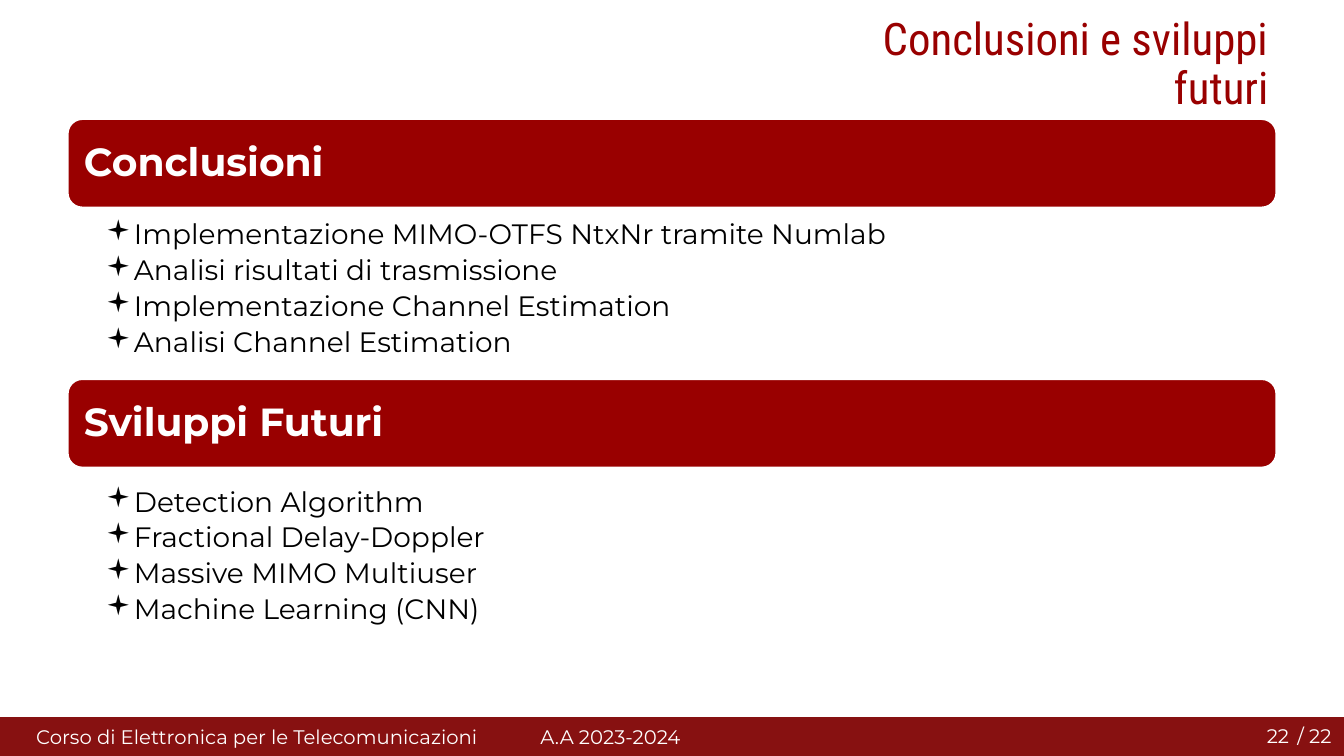
from lxml import etree
from pptx import Presentation
from pptx.dml.color import RGBColor
from pptx.enum.shapes import MSO_SHAPE
from pptx.enum.text import MSO_ANCHOR, PP_ALIGN
from pptx.oxml.ns import qn
from pptx.util import Inches, Pt

RECTANGLE, ROUNDED = MSO_SHAPE.RECTANGLE, MSO_SHAPE.ROUNDED_RECTANGLE
TOP, MIDDLE = MSO_ANCHOR.TOP, MSO_ANCHOR.MIDDLE
LEFT, CENTER, RIGHT = PP_ALIGN.LEFT, PP_ALIGN.CENTER, PP_ALIGN.RIGHT

BODY_FONT, TITLE_FONT, BULLET_FONT = "Montserrat", "Roboto Condensed", "Wingdings"
RED, DARK_RED, WHITE, BLACK = "990000", "871111", "FFFFFF", "000000"
CONTENT_LEFT, CONTENT_WIDTH = 0.67, 11.99

# Heading, top of its band, top and height of its list, list items
SECTIONS = [
    ("Conclusioni", 1.18, 2.16, 1.48, [
        "Implementazione MIMO-OTFS NtxNr tramite Numlab",
        "Analisi risultati di trasmissione",
        "Implementazione Channel Estimation",
        "Analisi Channel Estimation",
    ]),
    ("Sviluppi Futuri", 3.76, 4.81, 1.52, [
        "Detection Algorithm",
        "Fractional Delay-Doppler",
        "Massive MIMO Multiuser",
        "Machine Learning (CNN)",
    ]),
]


def color(value):
    return RGBColor.from_string(value)


def add_bar(slide, kind, box, fill, line):
    shape = slide.shapes.add_shape(kind, *map(Inches, box))
    shape.shadow.inherit = False
    shape.fill.solid()
    shape.fill.fore_color.rgb = color(fill)
    shape.line.color.rgb = color(line)
    shape.line.width = Pt(1.5)
    return shape


def add_bullet(paragraph):
    properties = paragraph._p.get_or_add_pPr()
    properties.set("marL", str(Inches(0.25)))
    properties.set("indent", str(-Inches(0.25)))
    etree.SubElement(properties, qn("a:buFont")).set("typeface", BULLET_FONT)
    etree.SubElement(properties, qn("a:buChar")).set("char", "▪")


def add_tab_stop(paragraph, position):
    stops = etree.SubElement(paragraph._p.get_or_add_pPr(), qn("a:tabLst"))
    stop = etree.SubElement(stops, qn("a:tab"))
    stop.set("pos", str(Inches(position)))
    stop.set("algn", "l")


def write(shape, lines, size, text_color, font=BODY_FONT, align=LEFT, anchor=TOP,
          insets=(0.1, 0.05, 0.1, 0.05), bold=False, spacing=1.0, after=0,
          bullets=False, tab=None):
    frame = shape.text_frame
    frame.word_wrap = True
    frame.vertical_anchor = anchor
    (frame.margin_left, frame.margin_top,
     frame.margin_right, frame.margin_bottom) = map(Inches, insets)
    frame.text = "\n".join(lines)
    for paragraph in frame.paragraphs:
        paragraph.alignment = align
        paragraph.line_spacing = spacing
        paragraph.space_after = Pt(after)
        if bullets:
            add_bullet(paragraph)
        if tab:
            add_tab_stop(paragraph, tab)
        for run in paragraph.runs:
            run.font.name = font
            run.font.size = Pt(size)
            run.font.bold = bold
            run.font.color.rgb = color(text_color)


def add_text(slide, box, lines, size, text_color, **style):
    write(slide.shapes.add_textbox(*map(Inches, box)), lines, size, text_color, **style)


def add_footer(slide):
    add_bar(slide, RECTANGLE, (0, 7.12, 13.33, 0.38), DARK_RED, DARK_RED)
    add_text(slide, (0.26, 7.14, 6.65, 0.34),
             ["Corso di Elettronica per le Telecomunicazioni\tA.A 2023-2024"], 14, WHITE,
             tab=5)
    add_text(slide, (12.77, 7.13, 0.66, 0.34), ["/ 22"], 14, WHITE)
    add_text(slide, (12.21, 7.12, 0.93, 0.36), ["22"], 14, WHITE,
             align=CENTER, anchor=MIDDLE)


def add_section(slide, heading, band_top, list_top, list_height, items):
    band = add_bar(slide, ROUNDED, (CONTENT_LEFT, band_top, CONTENT_WIDTH, 0.88), RED, WHITE)
    write(band, [heading], 28, WHITE, anchor=MIDDLE, bold=True, spacing=0.9,
          insets=(0.12, 0.12, 0.12, 0.12))
    add_text(slide, (CONTENT_LEFT, list_top, CONTENT_WIDTH, list_height), items, 20, BLACK,
             insets=(0.38, 0.03, 0.16, 0.03), spacing=0.9, after=4, bullets=True)


def main():
    presentation = Presentation()
    presentation.slide_width = Inches(13.33)
    presentation.slide_height = Inches(7.5)
    slide = presentation.slides.add_slide(presentation.slide_layouts[6])

    add_footer(slide)
    # Title, with a wide left inset so that it breaks before the last word
    add_text(slide, (7.61, 0.12, 5.07, 0.66), ["Conclusioni e sviluppi futuri"], 32, RED,
             font=TITLE_FONT, align=RIGHT, spacing=0.9, insets=(0.4, 0.05, 0.1, 0.05))
    for section in SECTIONS:
        add_section(slide, *section)

    presentation.save("out.pptx")


if __name__ == "__main__":
    main()
